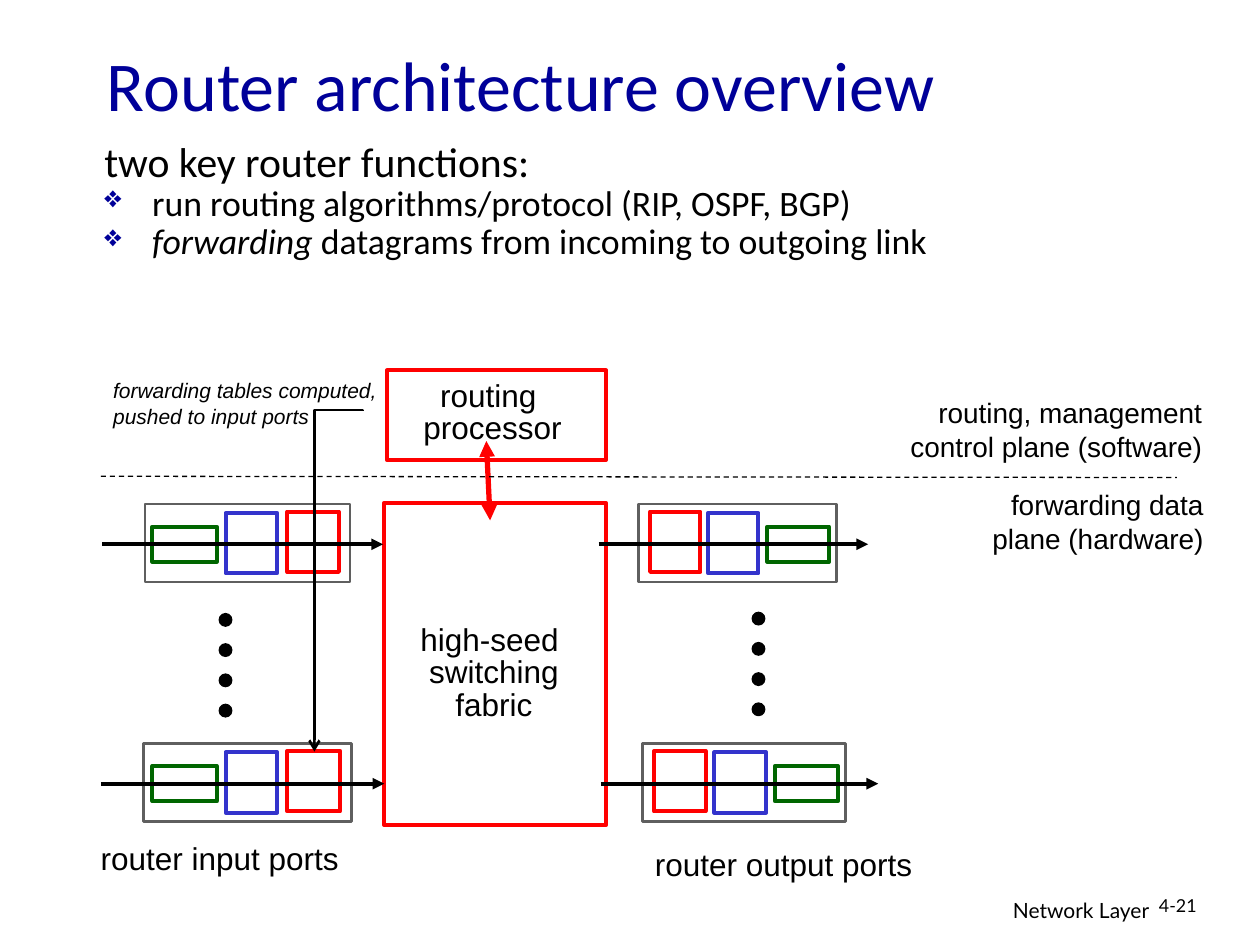
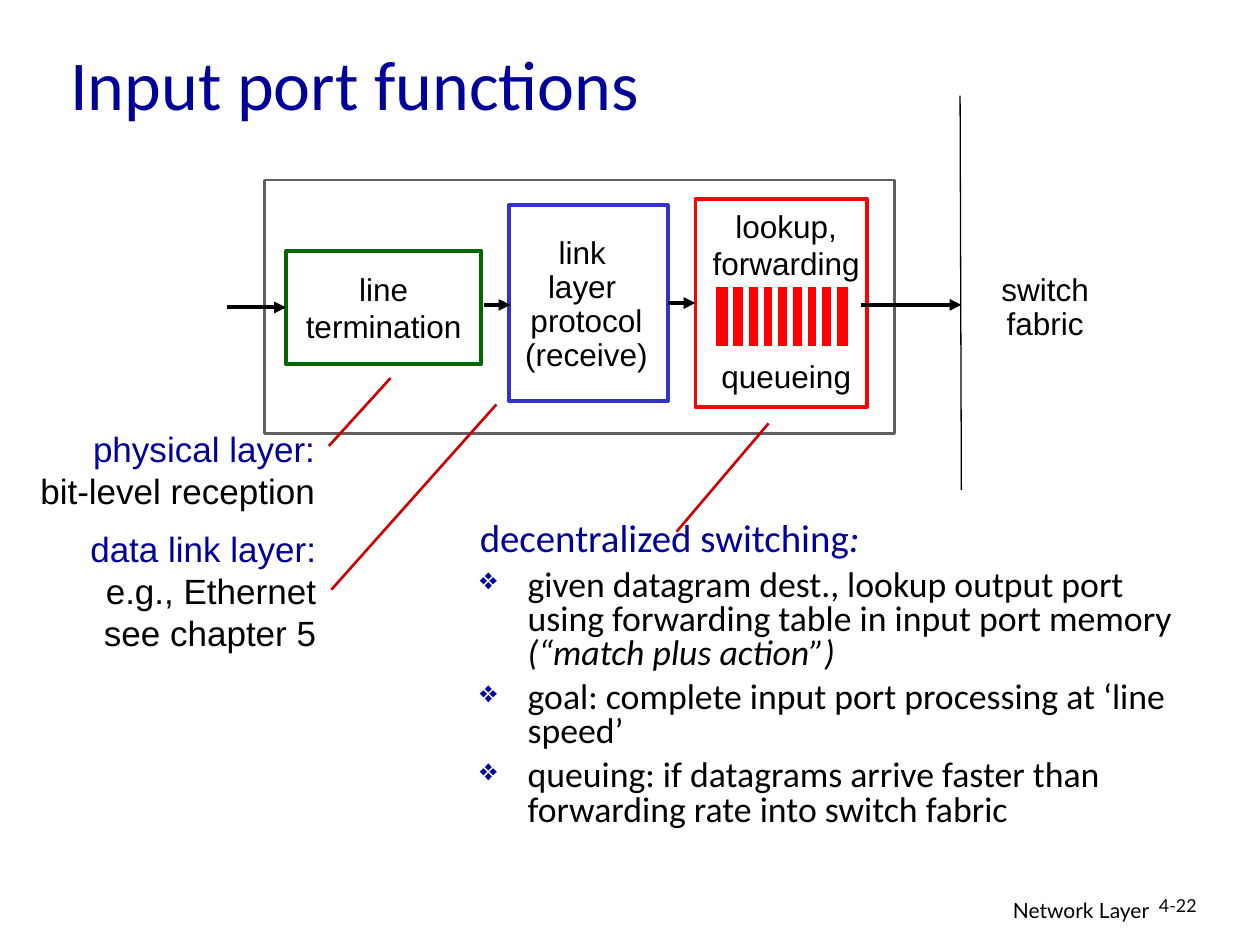
from lxml.etree import SubElement
from pptx import Presentation
from pptx.dml.color import RGBColor
from pptx.enum.dml import MSO_LINE
from pptx.enum.shapes import MSO_CONNECTOR, MSO_SHAPE
from pptx.enum.text import MSO_ANCHOR, MSO_AUTO_SIZE, PP_ALIGN
from pptx.oxml.ns import qn
from pptx.util import Pt

PX = 9144  # 100 px to the inch
BLACK = RGBColor(0x00, 0x00, 0x00)
WHITE = RGBColor(0xFF, 0xFF, 0xFF)
NAVY = RGBColor(0x00, 0x00, 0x99)
GRAY = RGBColor(0x5F, 0x5F, 0x5F)
GREEN = RGBColor(0x00, 0x66, 0x00)
BLUE = RGBColor(0x33, 0x33, 0xCC)
RED = RGBColor(0xFF, 0x00, 0x00)
CRIMSON = RGBColor(0xCC, 0x00, 0x00)
LEFT, CENTER, RIGHT = PP_ALIGN.LEFT, PP_ALIGN.CENTER, PP_ALIGN.RIGHT
TOP, MIDDLE = MSO_ANCHOR.TOP, MSO_ANCHOR.MIDDLE


def put(slide, box, text="", size=18, color=BLACK, font="Arial", align=CENTER,
        anchor=TOP, space=None, wrap=False, fill=None, line=None, width=2.25,
        kind=MSO_SHAPE.RECTANGLE):
    """Add a text box, or a preset shape when a fill is given."""
    area = [n * PX for n in box]
    if fill is None:
        shape = slide.shapes.add_textbox(*area)
    else:
        shape = slide.shapes.add_shape(kind, *area)
        shape.shadow.inherit = False
        shape.fill.solid()
        shape.fill.fore_color.rgb = fill
        if line is None:
            shape.line.fill.background()
        else:
            shape.line.color.rgb = line
            shape.line.width = Pt(width)
    if text:
        frame = shape.text_frame
        frame.text = text
        frame.word_wrap = wrap
        frame.vertical_anchor = anchor
        if fill is None and not wrap:
            frame.auto_size = MSO_AUTO_SIZE.SHAPE_TO_FIT_TEXT
        for par in frame.paragraphs:
            par.alignment = align
            par.line_spacing = space
            for run in par.runs:
                run.font.size = Pt(size)
                run.font.name = font
                run.font.color.rgb = color
    return shape


def link(slide, ends, color=BLACK, width=2.25, head=None, tail=None,
         kind=MSO_CONNECTOR.STRAIGHT):
    """Add a connector; head and tail name the arrowheads at its start and end."""
    wire = slide.shapes.add_connector(kind, *[n * PX for n in ends])
    wire.line.color.rgb = color
    wire.line.width = Pt(width)
    stroke = wire.line._get_or_add_ln()
    for tag, tip in (("a:headEnd", head), ("a:tailEnd", tail)):
        if tip:
            SubElement(stroke, qn(tag), type=tip)
    SubElement(wire._element.spPr, qn("a:effectLst"))
    return wire


deck = Presentation()
deck.slide_width, deck.slide_height = 1000 * PX, 750 * PX

# Shared frame: title, footer, number and body list.
# A body paragraph is (size, space before, [(text, color, italic), ...]);
# every one after the first has a bullet.
pages = [
    ("Router architecture overview", (75, 33, 850, 67), "4-21",
     (73, 115, 889, 100), 0.65, [
         (23.8, 4.5, [("two key router functions:", BLACK, False)]),
         (20.4, 6, [("run routing algorithms/protocol (RIP, OSPF, BGP)", BLACK, False)]),
         (20.4, 6, [("forwarding ", BLACK, True),
                    ("datagrams from incoming to outgoing link", BLACK, False)]),
     ]),
    ("Input port functions", (46, 32, 850, 67), "4-22",
     (371, 410, 597, 292), 0.8, [
         (22.2, 6, [("decentralized switching", NAVY, False), (":", NAVY, True)]),
         (20.4, 5.5, [("given datagram dest., lookup output port using forwarding "
                       "table in input port memory ", BLACK, False),
                      ("(“match plus action”)", BLACK, True)]),
         (20.4, 5.5, [("goal: complete input port processing at ‘line speed’",
                       BLACK, False)]),
         (20.4, 5.5, [("queuing: if datagrams arrive faster than forwarding rate "
                       "into switch fabric", BLACK, False)]),
     ]),
]
for title, spot, number, area, space, items in pages:
    slide = deck.slides.add_slide(deck.slide_layouts[6])
    put(slide, (605, 707, 317, 31), "Network Layer", 12, font="Lato",
        align=RIGHT, wrap=True)
    put(slide, (910, 707, 74, 30), number, 10.2, font="Lato", align=LEFT,
        space=0.9, wrap=True)
    put(slide, spot, title, 40, NAVY, "Calibri", LEFT, MIDDLE, wrap=True)
    frame = put(slide, area).text_frame
    frame.word_wrap = True
    for i, (size, before, parts) in enumerate(items):
        par = frame.add_paragraph() if i else frame.paragraphs[0]
        par.line_spacing = space
        par.space_before = Pt(before)
        for text, color, slant in parts:
            run = par.add_run()
            run.text = text
            run.font.size = Pt(size)
            run.font.name = "Calibri"
            run.font.color.rgb = color
            run.font.italic = slant
        props = par._p.get_or_add_pPr()
        props.set("marL", str(38 * PX))
        props.set("indent", str(-38 * PX))
        if i:
            tint = SubElement(props, qn("a:buClr"))
            SubElement(tint, qn("a:srgbClr"), val=str(NAVY))
            SubElement(props, qn("a:buSzPct"), val="85000")
            SubElement(props, qn("a:buChar"), char="❖")

router, port = deck.slides

# Router: fabric and processor
put(router, (305, 399, 176, 256), fill=WHITE, line=RED)
put(router, (320, 492, 144, 87), "high-seed \nswitching\nfabric", space=0.85)
put(router, (307, 294, 174, 71), fill=WHITE, line=RED)
put(router, (326, 298, 130, 61), "routing \nprocessor", space=0.85)
link(router, (386, 350, 389, 413), RED, 3, "triangle", "triangle")

# Ports: top, frame, wire, then left and width of the three stages
stages = [(18, 28, GREEN), (7, 48, BLUE), (6, 48, RED)]
ports = [
    (400, (115, 163), (81, 304), [(121, 51), (179, 41), (228, 41)]),
    (590, (114, 165), (80, 305), [(121, 51), (179, 41), (228, 42)]),
    (400, (507, 157), (475, 689), [(609, 49), (562, 40), (516, 40)]),
    (590, (510, 161), (477, 697), [(615, 50), (567, 41), (519, 41)]),
]
for top, (left, wide), (start, end), spots in ports:
    put(router, (left, top, wide, 62), fill=WHITE, line=GRAY, width=1.5)
    for (left, wide), (drop, high, color) in zip(spots, stages):
        put(router, (left, top + drop, wide, high), fill=WHITE, line=color)
    link(router, (start, top + 32, end, top + 32), tail="triangle")

for left, top in ((174, 487), (597, 486)):
    for i in range(4):
        put(router, (left, top + 24 * i, 10, 10), fill=BLACK, line=BLACK,
            width=0.75, kind=MSO_SHAPE.OVAL)

put(router, (70, 661, 215, 40), "router input ports", align=LEFT)
put(router, (510, 666, 230, 40), "router output ports", align=LEFT)

# Control plane above the dashed line, data plane below
split = link(router, (80, 378, 934, 379), width=0.75)
split.line.dash_style = MSO_LINE.DASH
put(router, (753, 382, 212, 64), "forwarding data plane (hardware)", 16,
    align=RIGHT, wrap=True)
put(router, (696, 309, 268, 64), "routing, management\ncontrol plane (software)",
    16, align=RIGHT)

# Elbow turned a quarter, so that it leaves leftwards and then drops
push = link(router, (133, 442, 404, 480), width=1.5, tail="arrow",
            kind=MSO_CONNECTOR.ELBOW)
props = push._element.spPr
props.find(qn("a:xfrm")).set("rot", "5400000")
SubElement(props.find(qn("a:prstGeom")).find(qn("a:avLst")), qn("a:gd"),
           name="adj1", fmla="val -100")
note = put(router, (80, 295, 240, 50),
           "forwarding tables computed,\npushed to input ports", 12, align=LEFT)
for par in note.text_frame.paragraphs:
    par.runs[0].font.italic = True

# Input port: the three stages and the arrows between them
put(port, (210, 143, 500, 201), fill=WHITE, line=GRAY, width=1.5)
term = put(port, (227, 199, 155, 90), "line\ntermination", anchor=MIDDLE,
           fill=WHITE, line=GREEN)
layer = put(port, (404, 163, 126, 155), fill=WHITE, line=BLUE)
lookup = put(port, (552, 158, 136, 165), fill=WHITE, line=RED)
enter = link(port, (180, 244, 226, 244), tail="triangle")
enter.end_connect(term, 1)
link(port, (384, 242, 405, 242), tail="triangle")
step = link(port, (531, 240, 552, 240), tail="triangle")
step.begin_connect(layer, 3)
step.end_connect(lookup, 1)
link(port, (683, 242, 763, 242), tail="triangle")
put(port, (408, 197, 115, 91), "link \nlayer \nprotocol\n(receive)",
    anchor=MIDDLE, space=0.9, fill=WHITE)
label = put(port, (549, 159, 150, 160), "lookup,\nforwarding\nqueueing")
label.text_frame.paragraphs[2].space_before = Pt(43)

# Layer notes, each with a coloured first line
for box, text in (
    ((12, 334, 248, 77), "physical layer:\nbit-level reception"),
    ((41, 414, 220, 110), "data link layer:\ne.g., Ethernet\nsee chapter 5"),
):
    note = put(port, box, text, 20, align=RIGHT)
    note.text_frame.paragraphs[0].runs[0].font.color.rgb = NAVY

link(port, (762, 76, 763, 389), width=0.75)
put(port, (772, 199, 115, 91), "switch\nfabric", anchor=MIDDLE, space=0.9, fill=WHITE)

# Queue, cut into slots by white bars
put(port, (566, 226, 109, 51), fill=RED, line=WHITE, width=3)
for i in range(8):
    left = round(580 + 11.75 * i)
    link(port, (left, 226, left, 275), WHITE, 3)

for ends in ((261, 354, 310, 300), (263, 468, 394, 321), (537, 422, 610, 336)):
    link(port, ends, CRIMSON, 1.5)

deck.save("out.pptx")
